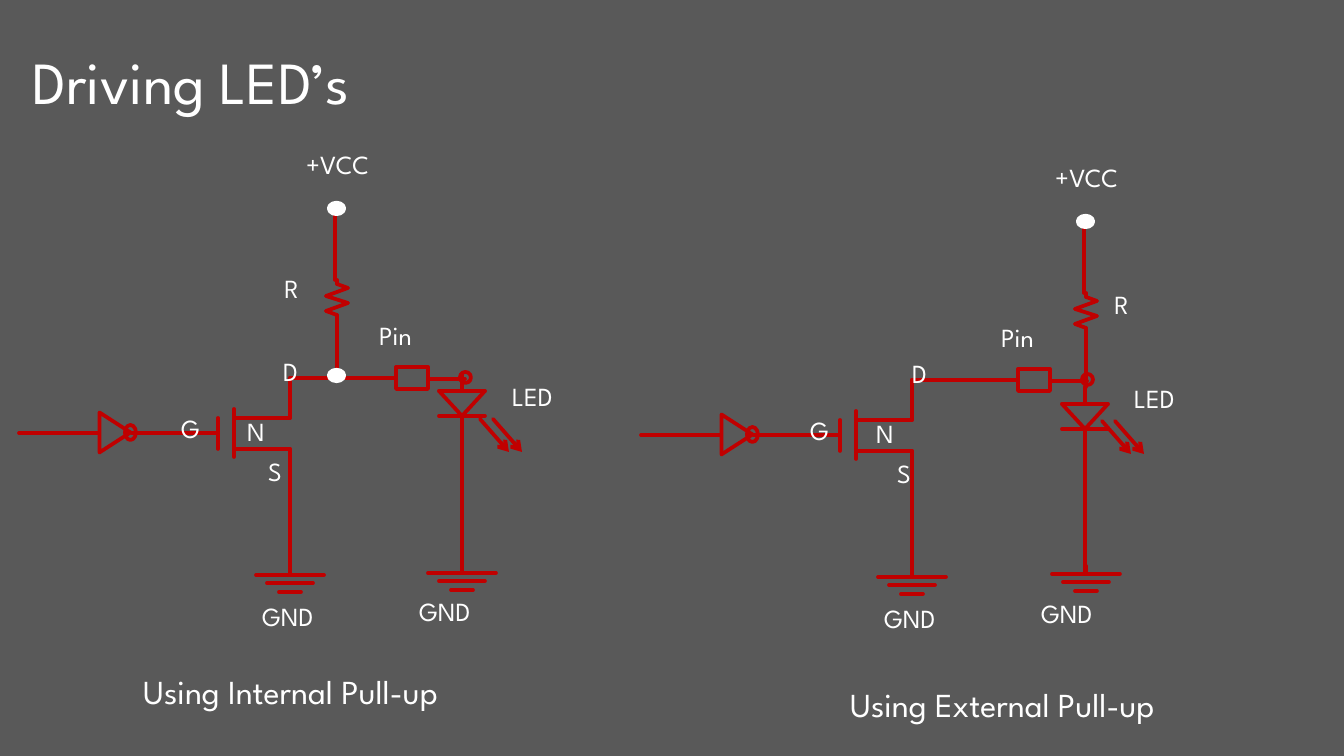
from itertools import pairwise

from lxml import etree
from pptx import Presentation
from pptx.dml.color import RGBColor
from pptx.enum.shapes import MSO_CONNECTOR, MSO_SHAPE
from pptx.enum.text import MSO_ANCHOR, MSO_AUTO_SIZE, PP_ALIGN
from pptx.oxml.ns import qn
from pptx.util import Pt

STRAIGHT = MSO_CONNECTOR.STRAIGHT
RECTANGLE, OVAL, TRIANGLE = MSO_SHAPE.RECTANGLE, MSO_SHAPE.OVAL, MSO_SHAPE.ISOSCELES_TRIANGLE
LEFT, TOP = PP_ALIGN.LEFT, MSO_ANCHOR.TOP
FIT_SHAPE = MSO_AUTO_SIZE.SHAPE_TO_FIT_TEXT

THEME = {
    "font": "League Spartan",
    "background": RGBColor(0x59, 0x59, 0x59),
    "wire": RGBColor(0xC0, 0x00, 0x00),
    "text": RGBColor(0xFF, 0xFF, 0xFF),
    "title": 32, "caption": 18, "label": 14,
    "wire_width": 2, "node_width": 2.25,
}

# Content: lengths in px, 134.4 px to the inch
WIDTH, HEIGHT = 1344, 756
TITLE = ("Driving LED’s", (19, 38, 391, 86))

CIRCUITS = [
    {"caption": ("Using Internal Pull-up", (130, 664, 364, 54)),
     "shift": (0, 0), "letter_shift": 0,
     "resistor": (337, 280), "resistor_label": (271, 266),
     "led": (462, 391), "led_ground": (462, 573),
     "nodes": [(329, 370)]},
    {"caption": ("Using External Pull-up", (837, 677, 370, 54)),
     "shift": (622, 2), "letter_shift": 7,
     "resistor": (1086, 293), "resistor_label": (1101, 282),
     "led": (1085, 404), "led_ground": (1086, 574),
     "nodes": []},
]

# Driver stage of the first circuit; the second one is shifted
DRIVER_WIRES = [
    [(19, 433), (99, 433)],                            # input
    [(132, 433), (218, 433)],                          # gate
    [(218, 418), (218, 449)],                          # gate plate
    [(234, 409), (234, 457)],                          # channel
    [(234, 418), (290, 418), (290, 378), (396, 378)],  # drain to pin
    [(234, 449), (290, 449), (290, 571)],              # source to ground
    [(428, 379), (465, 379)],                          # pin to LED
]
DRIVER_GROUND = (290, 575)
LIGHT_RAYS = [[(x, 419), (x + 29, 452)] for x in (480, 493)]
DRIVER_SHAPES = [  # preset, box, rotation
    (TRIANGLE, (95, 417, 40, 31), 90),
    (OVAL, (125, 425, 11, 15), 0),
    (RECTANGLE, (396, 367, 32, 22), 0),
    (OVAL, (460, 372, 11, 11), 0),
]
DRIVER_LABELS = [
    ("GND", (249, 594, 89, 46)), ("GND", (406, 589, 89, 46)),
    ("Pin", (366, 313, 65, 46)), ("LED", (499, 374, 73, 46)),
]
TRANSISTOR_LETTERS = [
    ("G", (168, 406, 50, 46)), ("S", (255, 449, 40, 46)),
    ("D", (270, 349, 47, 46)), ("N", (234, 409, 47, 46)),
]

# Symbols, relative to their own anchor
RESISTOR = [
    [(-2, -68), (-2, 0)],
    [(0, 0), (0, 4), (11, 8), (-11, 16), (11, 23), (-11, 31), (0, 35), (0, 40)],
    [(0, 37), (0, 94)],
]
LED = [
    [(0, -17), (0, 0)],
    [(-23, 0), (23, 0), (0, 25), (-23, 0)],
    [(-23, 25), (23, 25)],
]
GROUND = [[(0, -8), (0, 0)]] + [
    [(-half, y), (half, y)] for half, y in ((34, 0), (23, 8), (11, 17))]
SUPPLY_NODE, SUPPLY_LABEL = (-8, -77), (-44, -138)
NODE_SIZE = (15, 11)


def emu(px):
    return round(px * 914400 / 134.4)


def moved(box, shift):
    return (box[0] + shift[0], box[1] + shift[1], *box[2:])


def draw_wires(paths, shift=(0, 0), arrow=False):
    for points in paths:
        for start, end in pairwise(moved(point, shift) for point in points):
            wire = slide.shapes.add_connector(STRAIGHT, *map(emu, start + end))
            wire.line.color.rgb = THEME["wire"]
            wire.line.width = Pt(THEME["wire_width"])
            properties = wire._element.spPr
            stroke = properties.find(qn("a:ln"))
            stroke.set("cap", "rnd")
            if arrow:
                etree.SubElement(stroke, qn("a:tailEnd")).set("type", "arrow")
            etree.SubElement(properties, qn("a:effectLst"))


def draw_shape(preset, box, rotation=0, node=False):
    part = slide.shapes.add_shape(preset, *map(emu, box))
    part.rotation = rotation
    part.shadow.inherit = False
    if node:
        part.fill.solid()
        part.fill.fore_color.rgb = THEME["text"]
    else:
        part.fill.background()
    part.line.color.rgb = THEME["text" if node else "wire"]
    part.line.width = Pt(THEME["node_width" if node else "wire_width"])


def write(holder, text, size):
    frame = holder.text_frame
    frame.text = text
    frame.word_wrap = False
    frame.auto_size = FIT_SHAPE
    frame.vertical_anchor = TOP
    paragraph = frame.paragraphs[0]
    paragraph.alignment = LEFT
    font = paragraph.runs[0].font
    font.name, font.size = THEME["font"], Pt(THEME[size])
    font.color.rgb = THEME["text"]


def add_label(text, box, size="label"):
    write(slide.shapes.add_textbox(*map(emu, box)), text, size)


presentation = Presentation()
presentation.slide_width, presentation.slide_height = emu(WIDTH), emu(HEIGHT)
slide = presentation.slides.add_slide(presentation.slide_layouts[5])
slide.background.fill.solid()
slide.background.fill.fore_color.rgb = THEME["background"]

# Title
title = slide.shapes.title
title.left, title.top, title.width, title.height = map(emu, TITLE[1])
write(title, TITLE[0], "title")

for circuit in CIRCUITS:
    shift, resistor, led = circuit["shift"], circuit["resistor"], circuit["led"]

    # Wires and symbols
    draw_wires(DRIVER_WIRES, shift)
    draw_wires(GROUND, moved(DRIVER_GROUND, shift))
    draw_wires(RESISTOR, resistor)
    draw_wires(LED, led)
    draw_wires([[moved((0, 25), led), (led[0], circuit["led_ground"][1])]])
    draw_wires(GROUND, circuit["led_ground"])
    draw_wires(LIGHT_RAYS, shift, arrow=True)
    for preset, box, rotation in DRIVER_SHAPES:
        draw_shape(preset, moved(box, shift), rotation)
    for corner in [moved(SUPPLY_NODE, resistor), *circuit["nodes"]]:
        draw_shape(OVAL, corner + NODE_SIZE, node=True)

    # Labels and caption
    for text, box in DRIVER_LABELS:
        add_label(text, moved(box, shift))
    for text, box in TRANSISTOR_LETTERS:
        add_label(text, moved(box, (shift[0] + circuit["letter_shift"], shift[1])))
    add_label("+VCC", moved(SUPPLY_LABEL, resistor) + (105, 46))
    add_label("R", circuit["resistor_label"] + (43, 46))
    add_label(*circuit["caption"], size="caption")

presentation.save("out.pptx")
